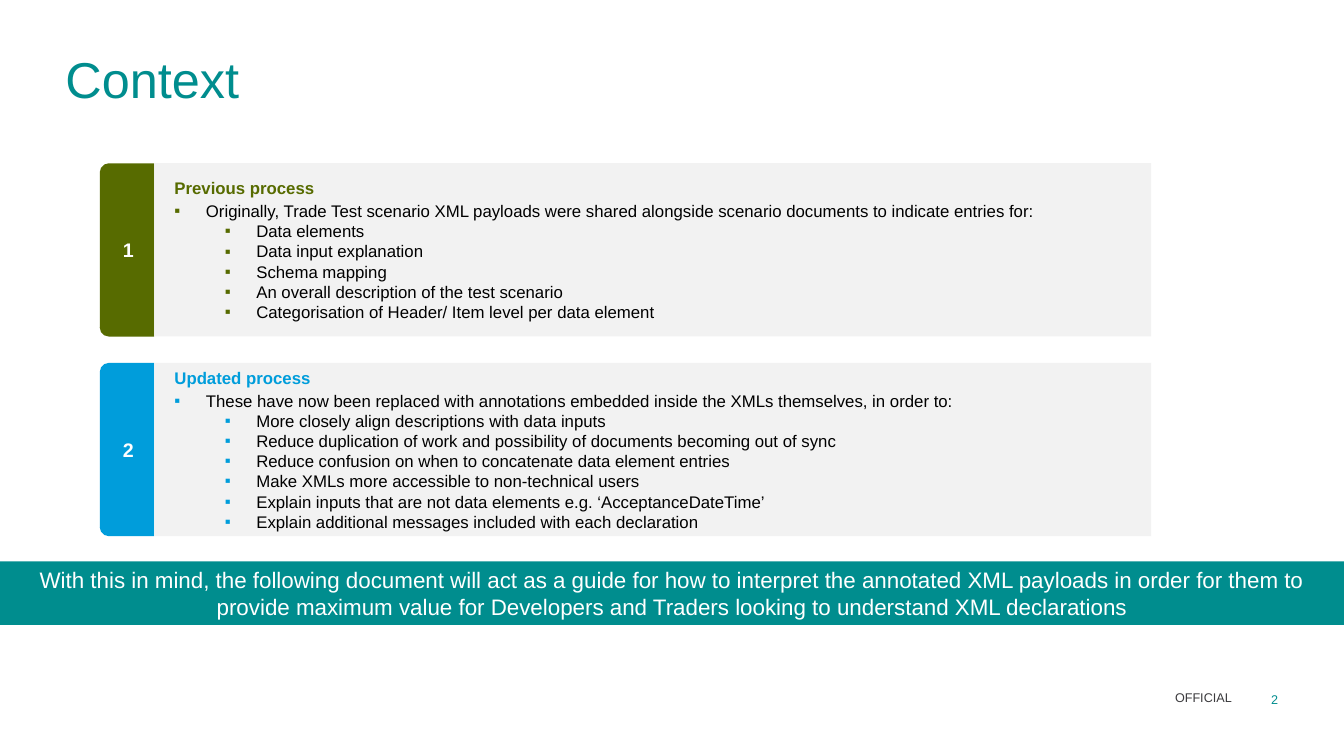
from dataclasses import dataclass

from lxml.etree import SubElement
from pptx import Presentation
from pptx.dml.color import RGBColor
from pptx.enum.shapes import MSO_SHAPE as Preset
from pptx.enum.text import MSO_ANCHOR as Anchor, PP_ALIGN as Align
from pptx.oxml.ns import qn
from pptx.util import Pt


@dataclass(frozen=True)
class Theme:
    font: str = "Arial"
    teal: str = "008D8E"
    olive: str = "576B00"
    blue: str = "009DDB"
    panel: str = "F2F2F2"
    white: str = "FFFFFF"
    black: str = "000000"
    grey: str = "3B3A3D"
    title: float = 36
    banner: float = 16
    number: float = 14
    body: float = 12
    footer: float = 9


THEME = Theme()
SLIDE_W, SLIDE_H = 960, 540
PANEL_LEFT, PANEL_TOP, PANEL_W, PANEL_H = 110.2, 116.6, 712, 123.8
PANEL_PITCH = 142.6
TAB_W = 38.9
BULLET_HANG = 22.5
BULLET_INDENTS = (22.5, 58.5)
TIGHT = (3.6, 3.6, 3.6, 3.6)

PROCESSES = [
    ("Previous process", THEME.olive,
     "Originally, Trade Test scenario XML payloads were shared alongside "
     "scenario documents to indicate entries for:",
     ["Data elements",
      "Data input explanation",
      "Schema mapping",
      "An overall description of the test scenario",
      "Categorisation of Header/ Item level per data element"]),
    ("Updated process", THEME.blue,
     "These have now been replaced with annotations embedded inside the XMLs "
     "themselves, in order to:",
     ["More closely align descriptions with data inputs",
      "Reduce duplication of work and possibility of documents becoming out of sync",
      "Reduce confusion on when to concatenate data element entries",
      "Make XMLs more accessible to non-technical users",
      "Explain inputs that are not data elements e.g. ‘AcceptanceDateTime’",
      "Explain additional messages included with each declaration"]),
]
CONCLUSION = ("With this in mind, the following document will act as a guide for how to "
              "interpret the annotated XML payloads in order for them to provide maximum "
              "value for Developers and Traders looking to understand XML declarations")


def set_frame(shape, insets=(0, 0, 0, 0), anchor=Anchor.TOP):
    """Set wrapping, anchor and the left, top, right and bottom insets."""
    frame = shape.text_frame
    frame.word_wrap = True
    frame.vertical_anchor = anchor
    frame.margin_left, frame.margin_top, frame.margin_right, frame.margin_bottom = map(Pt, insets)


def add_block(slide, preset, box, fill, insets):
    block = slide.shapes.add_shape(preset, *map(Pt, box))
    block.shadow.inherit = False
    block.fill.solid()
    block.fill.fore_color.rgb = RGBColor.from_string(fill)
    block.line.fill.background()
    set_frame(block, insets, Anchor.MIDDLE)
    return block


def add_label(slide, box, text, anchor=Anchor.TOP, **style):
    label = slide.shapes.add_textbox(*map(Pt, box))
    set_frame(label, anchor=anchor)
    write(label, text, **style)


def write(shape, text, size=THEME.body, color=THEME.black, bold=False, align=Align.LEFT,
          before=0, after=0, line=None):
    """Fill the empty first paragraph, or append one, and return it."""
    frame = shape.text_frame
    paragraph = frame.add_paragraph() if frame.text else frame.paragraphs[0]
    paragraph.alignment = align
    paragraph.space_before, paragraph.space_after = Pt(before), Pt(after)
    if line:
        paragraph.line_spacing = Pt(line)
    run = paragraph.add_run()
    run.text = text
    run.font.name, run.font.size, run.font.bold = THEME.font, Pt(size), bold
    run.font.color.rgb = RGBColor.from_string(color)
    return paragraph


def add_bullet(panel, text, level, color):
    paragraph = write(panel, text)
    paragraph.level = level
    properties = paragraph._p.get_or_add_pPr()
    properties.set("marL", str(Pt(BULLET_INDENTS[level])))
    properties.set("indent", str(-Pt(BULLET_HANG)))
    bullet_color = SubElement(properties, qn("a:buClr"))
    SubElement(bullet_color, qn("a:srgbClr"), val=color)
    SubElement(properties, qn("a:buFont"), typeface=THEME.font)
    SubElement(properties, qn("a:buChar"), char="▪")


def add_number_tab(slide, number, top, color):
    """Draw a tab turned to round its left corners, with upright text."""
    left = PANEL_LEFT - (TAB_W + PANEL_H) / 2
    box = (left, top + (PANEL_H - TAB_W) / 2, PANEL_H, TAB_W)
    tab = add_block(slide, Preset.ROUND_2_SAME_RECTANGLE, box, color, TIGHT)
    tab.rotation = 270
    tab.text_frame._txBody.bodyPr.set("vert", "vert")
    write(tab, str(number), size=THEME.number, color=THEME.white, bold=True,
          align=Align.CENTER, before=2, after=2)


def add_process(slide, number, heading, color, intro, details):
    top = PANEL_TOP + (number - 1) * PANEL_PITCH
    add_number_tab(slide, number, top, color)
    panel = add_block(slide, Preset.RECTANGLE, (PANEL_LEFT, top, PANEL_W, PANEL_H),
                      THEME.panel, (14.4, 3.6, 3.6, 3.6))
    write(panel, heading, color=color, bold=True, before=2, after=2)
    add_bullet(panel, intro, 0, color)
    for detail in details:
        add_bullet(panel, detail, 1, color)


def main():
    deck = Presentation()
    deck.slide_width, deck.slide_height = Pt(SLIDE_W), Pt(SLIDE_H)
    slide = deck.slides.add_slide(deck.slide_layouts[6])

    add_label(slide, (46.8, 37.4, 864, 73.4), "Context",
              size=THEME.title, color=THEME.teal, after=8, line=40)
    for number, process in enumerate(PROCESSES, 1):
        add_process(slide, number, *process)

    banner = add_block(slide, Preset.RECTANGLE, (0, 401, SLIDE_W, 45.4),
                       THEME.teal, (7.2, 3.6, 7.2, 3.6))
    write(banner, CONCLUSION, size=THEME.banner, color=THEME.white, align=Align.CENTER)

    add_label(slide, (173.5, 490.3, 706.3, 15.8), "OFFICIAL", anchor=Anchor.MIDDLE,
              size=THEME.footer, color=THEME.grey, align=Align.RIGHT)
    add_label(slide, (888.5, 493.9, 24.5, 10.8), "2",
              size=THEME.footer, color=THEME.teal, align=Align.RIGHT)
    deck.save("out.pptx")


if __name__ == "__main__":
    main()
